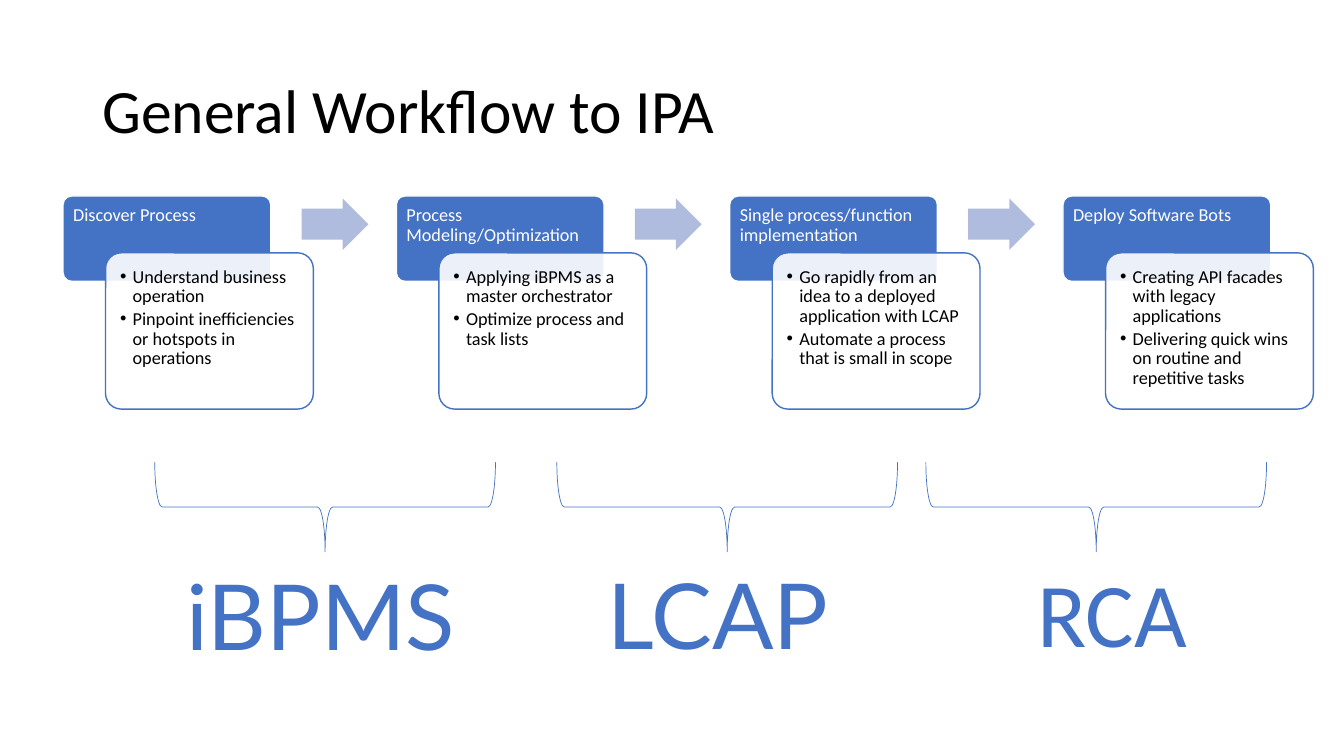
import lxml.etree
import pptx
import pptx.dml.color
import pptx.enum.shapes
import pptx.enum.text
import pptx.oxml.ns
import pptx.util

Pt = pptx.util.Pt
KIND = pptx.enum.shapes.MSO_SHAPE
ALIGN = pptx.enum.text.PP_ALIGN
ANCHOR = pptx.enum.text.MSO_ANCHOR

COLORS = {"blue": "4472C4", "pale": "B0BCDE", "white": "FFFFFF", "black": "000000"}
STEPS = [
    ("Discover Process",
     ["Understand business operation",
      "Pinpoint inefficiencies or hotspots in operations"]),
    ("Process Modeling/Optimization",
     ["Applying iBPMS as a master orchestrator",
      "Optimize process and task lists"]),
    ("Single process/function implementation",
     ["Go rapidly from an idea to a deployed application with LCAP",
      "Automate a process that is small in scope"]),
    ("Deploy Software Bots",
     ["Creating API facades with legacy applications",
      "Delivering quick wins on routine and repetitive tasks"]),
]
# Label, font, label left, label top, brace left
TOOLS = [
    ("iBPMS", "Lato", 85.7, 393.8, 200.2),
    ("LCAP", "Lato", 369.4, 393.1, 487.4),
    ("RCA", "Calibri", 650.9, 391.7, 751),
]
LEFT, TOP, PITCH = 45, 140, 238.1


def color(name):
    return pptx.dml.color.RGBColor.from_string(COLORS[name])


def add(parent, tag, **attrs):
    return lxml.etree.SubElement(parent, pptx.oxml.ns.qn(tag), attrs)


def shape(slide, kind, box, fill=None, line=None, width=1):
    item = slide.shapes.add_shape(kind, *map(Pt, box))
    item.shadow.inherit = False
    if fill:
        item.fill.solid()
        item.fill.fore_color.rgb = color(fill)
    else:
        item.fill.background()
    if line:
        item.line.color.rgb = color(line)
        item.line.width = Pt(width)
    else:
        item.line.fill.background()
    return item


def write(item, lines, size, tint, font="Calibri", inset=(7.2, 7.2),
          anchor=ANCHOR.TOP, align=ALIGN.LEFT, after=0, bullet=False):
    frame = item.text_frame
    frame.word_wrap = True
    frame.vertical_anchor = anchor
    frame.margin_left = frame.margin_right = Pt(inset[0])
    frame.margin_top = frame.margin_bottom = Pt(inset[1])
    for i, line in enumerate(lines):
        para = frame.add_paragraph() if i else frame.paragraphs[0]
        para.alignment = align
        para.line_spacing = 0.9
        para.space_after = Pt(after)
        if bullet:
            props = para._p.get_or_add_pPr()
            props.set("marL", str(Pt(9)))
            props.set("indent", str(-Pt(9)))
            add(props, "a:buFont", typeface="Arial")
            add(props, "a:buChar", char="•")
        run = para.add_run()
        run.text = line
        run.font.name = font
        run.font.size = Pt(size)
        run.font.color.rgb = color(tint)


def label(slide, box, text, size, tint, **style):
    item = slide.shapes.add_textbox(*map(Pt, box))
    write(item, [text], size, tint, anchor=ANCHOR.MIDDLE, **style)


def step(slide, left, head, notes):
    card = shape(slide, KIND.ROUNDED_RECTANGLE, (left, TOP, 148.4, 61), "blue", "white")
    card.adjustments[0] = 0.1
    write(card, [head], 13, "white", inset=(5.4, 5.4))

    # Details overlap the header and let it show through
    panel = shape(slide, KIND.ROUNDED_RECTANGLE,
                  (left + 30.4, TOP + 40.6, 148.4, 111.6), "white", "blue")
    panel.adjustments[0] = 0.1
    solid = panel._element.spPr.find(pptx.oxml.ns.qn("a:solidFill"))
    add(solid[0], "a:alpha", val="90000")
    write(panel, notes, 13, "black", after=2, bullet=True)


def arrow(slide, left):
    item = shape(slide, KIND.RIGHT_ARROW, (left, TOP + 1.8, 47.7, 36.8), "pale")
    item.adjustments[0] = 0.6
    item.adjustments[1] = 0.5


def brace(slide, left):
    item = shape(slide, KIND.RIGHT_BRACE, (left, 240.5, 64, 243.4),
                 line="blue", width=0.5)
    item.rotation = 90


def main():
    deck = pptx.Presentation()
    deck.slide_width, deck.slide_height = Pt(960), Pt(540)
    slide = deck.slides.add_slide(deck.slide_layouts[6])

    # Title
    label(slide, (66, 28.8, 828, 104.4), "General Workflow to IPA", 44, "black",
          inset=(7.2, 3.6))

    # Steps, with an arrow between neighbours
    for i, (head, notes) in enumerate(STEPS):
        left = LEFT + i * PITCH
        step(slide, left, head, notes)
        if i < len(STEPS) - 1:
            arrow(slide, left + 170.4)

    # Tools under their braces
    for name, font, left, top, edge in TOOLS:
        label(slide, (left, top, 287.3, 99.4), name, 65, "blue", font=font,
              inset=(19.4, 10), align=ALIGN.CENTER)
        brace(slide, edge)

    deck.save("out.pptx")


if __name__ == "__main__":
    main()
